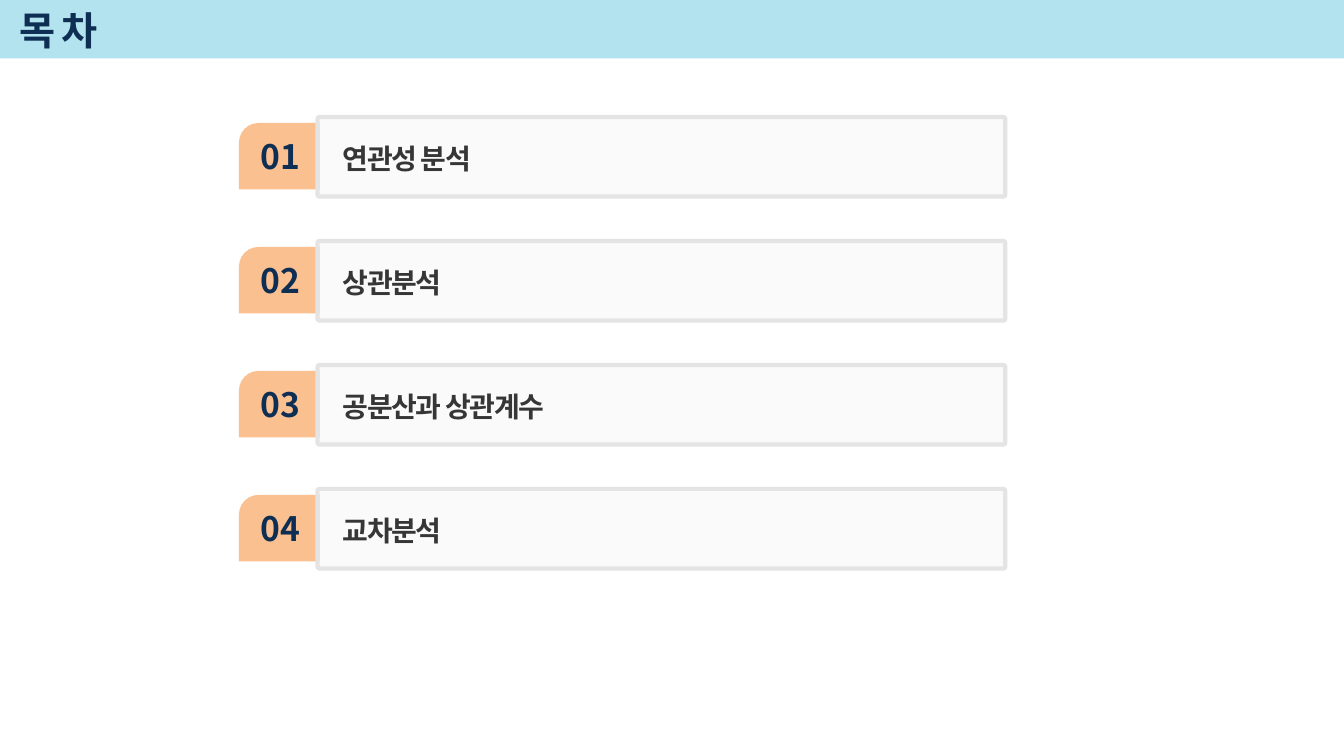
"""Build a table-of-contents slide with four numbered entries."""
from dataclasses import dataclass

from pptx import Presentation
from pptx.dml.color import RGBColor
from pptx.enum.shapes import MSO_SHAPE
from pptx.enum.text import MSO_ANCHOR, MSO_AUTO_SIZE, PP_ALIGN
from pptx.oxml.xmlchemy import OxmlElement
from pptx.shapes.autoshape import Shape
from pptx.slide import Slide
from pptx.text.text import TextFrame
from pptx.util import Inches, Pt

RECT = MSO_SHAPE.RECTANGLE
ROUND_RECT = MSO_SHAPE.ROUNDED_RECTANGLE
TAB_SHAPE = MSO_SHAPE.SNIP_ROUND_RECTANGLE
LEFT, CENTER = PP_ALIGN.LEFT, PP_ALIGN.CENTER
MIDDLE = MSO_ANCHOR.MIDDLE
FIT_SHAPE, NO_FIT = MSO_AUTO_SIZE.SHAPE_TO_FIT_TEXT, MSO_AUTO_SIZE.NONE

FONT = "Noto Sans CJK KR"
COLORS = {
    "band": "B3E3EE",
    "tab": "FAC090",
    "panel": "F2F2F2",
    "border": "E4E4E4",
    "navy": "0F2E53",
    "gray": "363636",
}
FIRST_TOP, PITCH = 1.16, 1.23


@dataclass
class Entry:
    number: str
    label: str


@dataclass
class Box:
    left: float
    top: float
    width: float
    height: float

    def lengths(self) -> list[int]:
        return [Inches(v) for v in (self.left, self.top, self.width, self.height)]


ENTRIES = [
    Entry("01", "연관성 분석"),
    Entry("02", "상관분석"),
    Entry("03", "공분산과 상관계수"),
    Entry("04", "교차분석"),
]


def rgb(name: str) -> RGBColor:
    return RGBColor.from_string(COLORS[name])


def add_block(s: Slide, kind: MSO_SHAPE, box: Box, color: str) -> Shape:
    sp = s.shapes.add_shape(kind, *box.lengths())
    sp.shadow.inherit = False
    sp.fill.solid()
    sp.fill.fore_color.rgb = rgb(color)
    sp.line.fill.background()
    return sp


def write(tf: TextFrame, text: str, size: int, color: str,
          align: PP_ALIGN = LEFT, spacing: int = 0) -> None:
    tf.text = text
    p = tf.paragraphs[0]
    p.alignment = align
    r = p.runs[0]
    r.font.name = FONT
    r.font.size = Pt(size)
    r.font.bold = True
    r.font.color.rgb = rgb(color)
    props = r.font._element
    if spacing:
        props.set("spc", str(spacing))
    ea = OxmlElement("a:ea")
    ea.set("typeface", FONT)
    props.append(ea)


def add_text(s: Slide, box: Box, wrap: bool) -> TextFrame:
    tf = s.shapes.add_textbox(*box.lengths()).text_frame
    tf.word_wrap = wrap
    tf.auto_size = FIT_SHAPE
    return tf


def add_title(s: Slide, text: str) -> None:
    sp = s.shapes.title
    sp.left, sp.top, sp.width, sp.height = Box(0.09, 0.04, 11.35, 0.52).lengths()
    tf = sp.text_frame
    tf.vertical_anchor = MIDDLE
    tf.auto_size = NO_FIT
    write(tf, text, 28, "navy", spacing=-100)
    band = add_block(s, RECT, Box(0, -0.02, 13.33, 0.6), "band")
    sp.element.addprevious(band.element)


def add_entry(s: Slide, entry: Entry, top: float) -> None:
    tab = add_block(s, TAB_SHAPE, Box(2.37, top + 0.06, 0.8, 0.66), "tab")
    tab.adjustments[0], tab.adjustments[1] = 0.296, 0
    tf = add_text(s, Box(2.49, top + 0.14, 0.59, 0.5), False)
    write(tf, entry.number, 24, "navy", CENTER)

    panel = add_block(s, ROUND_RECT, Box(3.15, top, 6.82, 0.79), "panel")
    panel.adjustments[0] = 0.023
    panel.line.color.rgb = rgb("border")
    panel.line.width = Pt(3)
    alpha = OxmlElement("a:alpha")
    alpha.set("val", "33000")
    panel.element.spPr.find(".//{*}solidFill/{*}srgbClr").append(alpha)

    tf = add_text(s, Box(3.3, top + 0.16, 5.28, 0.44), True)
    write(tf, entry.label, 20, "gray", spacing=-100)
    p = tf.paragraphs[0]
    p.line_spacing = 1.1
    p.space_after = Pt(3)


def main() -> None:
    prs = Presentation()
    prs.slide_width, prs.slide_height = Inches(13.33), Inches(7.5)
    s = prs.slides.add_slide(prs.slide_layouts[5])
    add_title(s, "목 차")
    for i, entry in enumerate(ENTRIES):
        add_entry(s, entry, FIRST_TOP + i * PITCH)
    prs.save("out.pptx")


if __name__ == "__main__":
    main()
